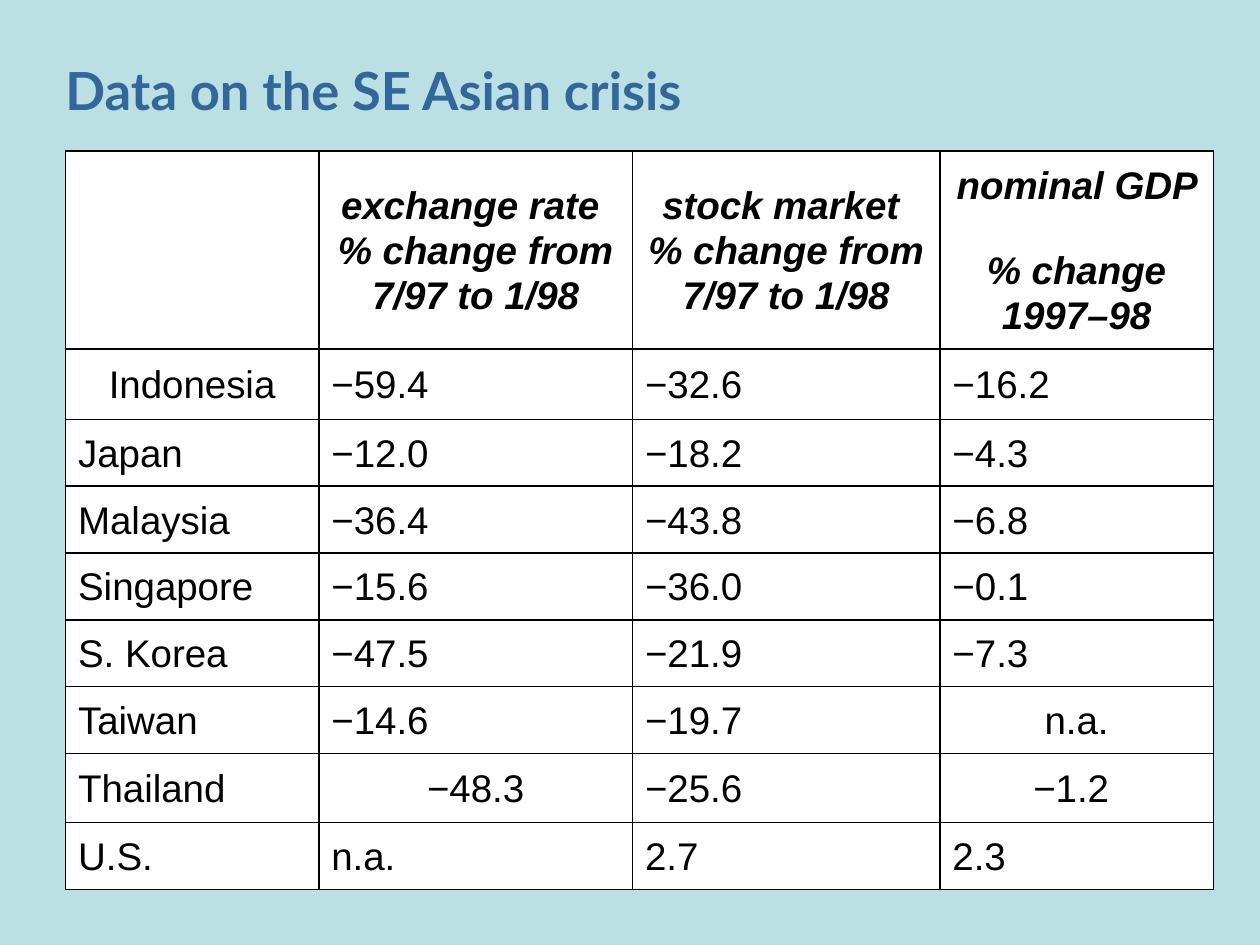
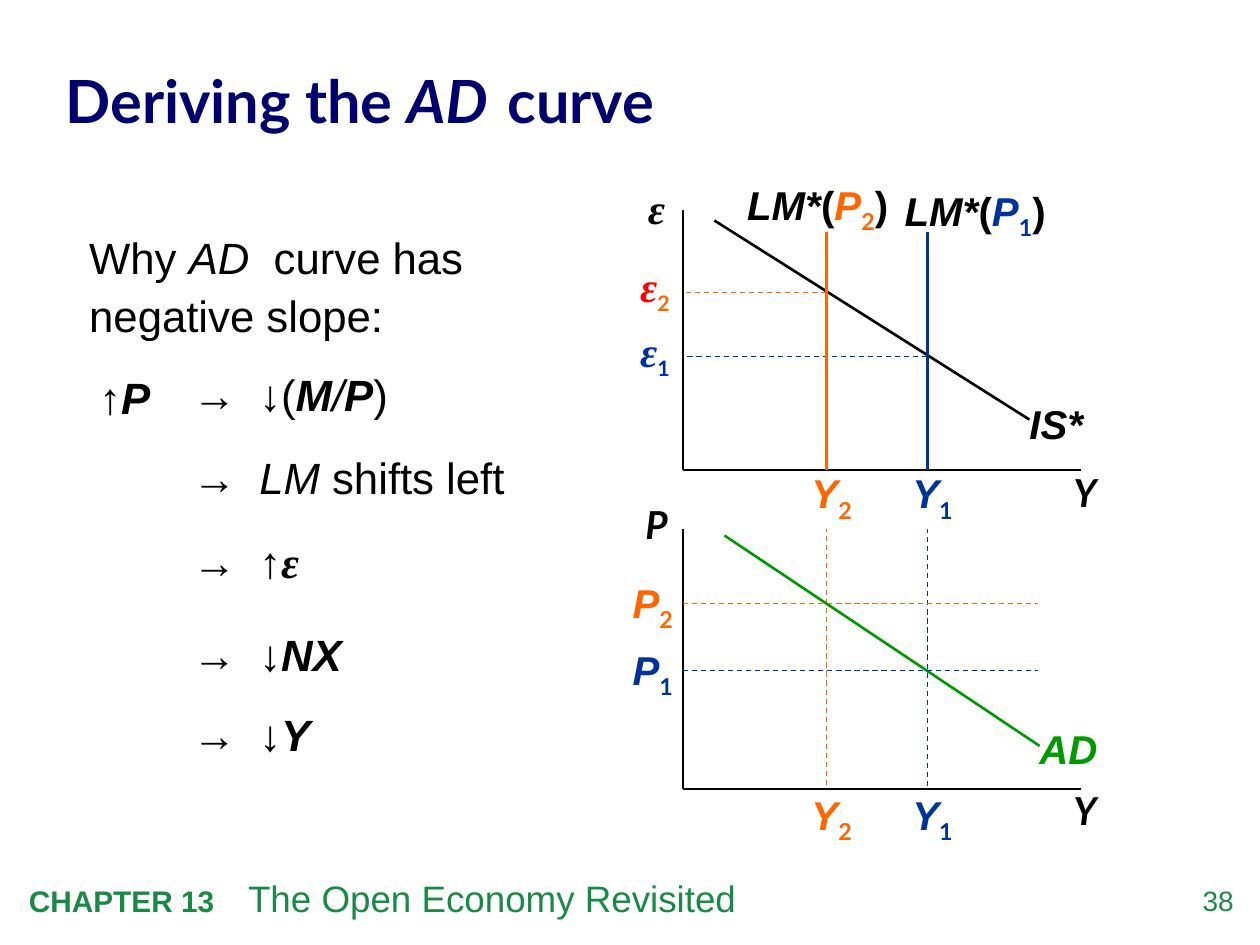
import lxml.etree
import pptx
import pptx.dml.color
import pptx.enum.dml
import pptx.enum.shapes
import pptx.enum.text
import pptx.oxml.ns
import pptx.util

Inches = pptx.util.Inches
Pt = pptx.util.Pt
rgb = pptx.dml.color.RGBColor.from_string
qn = pptx.oxml.ns.qn
ALIGN = pptx.enum.text.PP_ALIGN
MIDDLE = pptx.enum.text.MSO_ANCHOR.MIDDLE

BLACK, WHITE, GREEN, LEAF = "000000", "FFFFFF", "198A46", "009900"
BLUE, ORANGE, RED = "003399", "FF6600", "FF0000"
SANS, HEAD, SERIF = "Arial", "Lato", "Times New Roman"


def text(slide, x, y, w, h, runs, align="LEFT", pad=True, space=None,
         anchor=None, fill=None, tab=None):
    """Add a box of runs (text, size, colour, font, style); style letters: bold, italic, sub."""
    box = slide.shapes.add_textbox(Inches(x), Inches(y), Inches(w), Inches(h))
    frame = box.text_frame
    frame.word_wrap = True
    if not pad:
        frame.margin_left = frame.margin_right = 0
        frame.margin_top = frame.margin_bottom = 0
    if anchor:
        frame.vertical_anchor = anchor
    if fill:
        box.fill.solid()
        box.fill.fore_color.rgb = rgb(fill)
    para = frame.paragraphs[0]
    para.alignment = ALIGN[align]
    if space:
        para.line_spacing = space
    if tab:
        stops = lxml.etree.SubElement(para._p.get_or_add_pPr(), qn("a:tabLst"))
        lxml.etree.SubElement(stops, qn("a:tab"), pos=str(Inches(tab)), algn="l")
    for words, size, hue, face, style in runs:
        run = para.add_run()
        run.text = words
        font = run.font
        font.size, font.name = Pt(size), face
        font.color.rgb = rgb(hue)
        font.bold, font.italic = "b" in style, "i" in style
        if "s" in style:
            font._element.set("baseline", "-25000")
    return box


def line(slide, x1, y1, x2, y2, hue, width, dash=False):
    link = slide.shapes.add_connector(
        pptx.enum.shapes.MSO_CONNECTOR.STRAIGHT,
        Inches(x1), Inches(y1), Inches(x2), Inches(y2))
    link.line.color.rgb = rgb(hue)
    link.line.width = Pt(width)
    if dash:
        link.line.dash_style = pptx.enum.dml.MSO_LINE.DASH
    lxml.etree.SubElement(link._element.spPr, qn("a:effectLst"))
    return link


deck = pptx.Presentation()
deck.slide_width, deck.slide_height = Inches(10), Inches(7.5)

# Backgrounds and titles
NAVY = "00006E"
heads = [
    ("BBE0E3", 0.22, 0.95, [("Data on the SE Asian crisis", 30, "336699", HEAD, "b")]),
    (WHITE, 0.26, 1.03, [("Deriving the ", 34, NAVY, HEAD, "b"),
                         ("AD", 34, NAVY, HEAD, "bi"),
                         (" ", 13, NAVY, HEAD, "b"),
                         (" curve", 34, NAVY, HEAD, "b")]),
]
for back, top, tall, runs in heads:
    slide = deck.slides.add_slide(deck.slide_layouts[6])
    slide.background.fill.solid()
    slide.background.fill.fore_color.rgb = rgb(back)
    text(slide, 0.52, top, 9.03, tall, runs, pad=False, space=1.05, anchor=MIDDLE)
crisis, curve = deck.slides

# Slide 1: table
rows = [
    ("", "exchange rate \n% change from 7/97 to 1/98",
     "stock market \n% change from 7/97 to 1/98", "nominal GDP \n% change 1997–98"),
    ("Indonesia", "−59.4", "−32.6", "−16.2"),
    ("Japan", "−12.0", "−18.2", "−4.3"),
    ("Malaysia", "−36.4", "−43.8", "−6.8"),
    ("Singapore", "−15.6", "−36.0", "−0.1"),
    ("S. Korea", "−47.5", "−21.9", "−7.3"),
    ("Taiwan", "−14.6", "−19.7", "n.a."),
    ("Thailand", "−48.3", "−25.6", "−1.2 "),
    ("U.S.", "n.a.", "2.7", "2.3"),
]
middle = {(1, 0), (6, 3), (7, 1), (7, 3)}
table = crisis.shapes.add_table(len(rows), 4, Inches(0.52), Inches(1.2),
                                Inches(9.12), Inches(5.65)).table
for col, wide in zip(table.columns, (2.01, 2.49, 2.44, 2.17)):
    col.width = Inches(wide)
for row, tall in zip(table.rows, (1.36, 0.56, 0.53, 0.53, 0.53, 0.53, 0.53, 0.55, 0.53)):
    row.height = Inches(tall)
for r, row in enumerate(rows):
    for c, words in enumerate(row):
        cell = table.cell(r, c)
        cell.vertical_anchor = MIDDLE
        for side in ("a:lnL", "a:lnR", "a:lnT", "a:lnB"):
            edge = lxml.etree.SubElement(cell._tc.get_or_add_tcPr(), qn(side), w=str(Pt(1)))
            paint = lxml.etree.SubElement(edge, qn("a:solidFill"))
            lxml.etree.SubElement(paint, qn("a:srgbClr"), val=BLACK)
        cell.fill.solid()
        cell.fill.fore_color.rgb = rgb(WHITE)
        para = cell.text_frame.paragraphs[0]
        para.line_spacing = 1.05
        if r == 0 or (r, c) in middle:
            para.alignment = ALIGN.CENTER
        for n, part in enumerate(words.split("\n") if words else []):
            if n:
                para.add_line_break()
            run = para.add_run()
            run.text = part
            run.font.size, run.font.name = Pt(22), SANS
            run.font.color.rgb = rgb(BLACK)
            run.font.bold = run.font.italic = r == 0

# Slide 2: footer
text(curve, 9.24, 7.01, 0.55, 0.32, [("38", 16, GREEN, SANS, "")], "RIGHT", pad=False)
text(curve, 0.13, 6.9, 8.18, 0.45, [("CHAPTER 13\t", 17, GREEN, SANS, "b"),
                                    ("The Open Economy Revisited", 21, GREEN, SANS, "")],
     tab=1.74)

# Slide 2: the two states, as number, colour, income x, rate y, price y, rate colour
LEFT, RIGHT, FLOOR, BASE = 5.42, 8.58, 3.73, 6.26
states = [("1", BLUE, 7.36, 2.83, 5.32, BLUE), ("2", ORANGE, 6.56, 2.32, 4.79, RED)]

for num, hue, x, rate, price, tint in states:
    line(curve, x, rate, x, BASE, hue, 0.75, dash=True)
for num, hue, x, rate, price, tint in states:
    sub = (num, 23, hue, HEAD, "bs")
    for y, fill in ((FLOOR - 0.01, WHITE), (BASE + 0.01, None)):
        text(curve, x - 0.12, y, 0.42, 0.48, [("Y", 23, hue, SANS, "bi"), sub],
             pad=False, fill=fill)

# Axes
for top, floor, name, size, face in ((1.67, FLOOR, "ε", 24, SERIF), (4.2, BASE, "P", 22, HEAD)):
    line(curve, LEFT, top, LEFT, floor, BLACK, 1)
    line(curve, LEFT, floor, RIGHT, floor, BLACK, 1)
    text(curve, 8.42, floor - 0.06, 0.58, 0.47, [("Y", 22, BLACK, HEAD, "bi")])
    text(curve, 5, top - 0.27, 0.42, 0.5, [(name, size, BLACK, face, "bi")], "CENTER")

# Sloping curves, each joined to its name
for name, hue, x, y, drop, tall in (("IS*", BLACK, 5.67, 1.75, 1.58, 0.32),
                                    ("AD", LEAF, 5.75, 4.25, 1.67, 0.34)):
    tag = text(curve, x + 2.5, y + drop - tall / 2, 0.5, tall,
               [(name, 23, hue, SANS, "bi")], pad=False)
    slope = line(curve, x, y, x + 2.5, y + drop, hue, 1.5)
    slope.end_connect(tag, 1)

# Lines and labels of each state
for num, hue, x, rate, price, tint in states:
    sub = (num, 23, hue, HEAD, "bs")
    spot = (7.18, 1.48) if num == "1" else (5.93, 1.43)
    text(curve, *spot, 1.2, 0.38,
         [("LM*", 23, BLACK, SANS, "bi"), ("(", 23, BLACK, SANS, "b"),
          ("P", 23, hue, SANS, "bi"), sub, (")", 23, BLACK, SANS, "b")], pad=False)
    line(curve, x, FLOOR, x, 1.84, hue, 1.5)
    line(curve, LEFT, price, 8.24, price, hue, 0.75, dash=True)
    text(curve, 5.02, price - 0.2, 0.42, 0.48, [("P", 23, hue, SANS, "bi"), sub], pad=False)
    line(curve, x, rate, LEFT, rate, hue, 0.75, dash=True)
    text(curve, 5.08, rate - 0.25, 0.42, 0.4,
         [("ε", 24, tint, SERIF, "bi"), (num, 21, hue, HEAD, "bs")], pad=False)

# Chain of reasons
text(curve, 0.61, 1.74, 3.58, 1.08,
     [("Why ", 25, BLACK, SANS, ""), ("AD ", 25, BLACK, SANS, "i"),
      (" curve has negative slope:", 25, BLACK, SANS, "")], space=1.1)
text(curve, 0.69, 2.85, 0.75, 0.58,
     [("↑", 25, BLACK, SANS, ""), ("P", 25, BLACK, SANS, "bi")], space=1.1)
steps = [
    (2.83, [("↓(", SANS, ""), ("M", SANS, "bi"), ("/", SANS, "i"),
            ("P", SANS, "bi"), (")", SANS, "")]),
    (3.49, [("LM", SANS, "i"), (" shifts left", SANS, "")]),
    (4.15, [("↑", SANS, ""), ("ε", SERIF, "bi")]),
    (4.89, [("↓", SANS, ""), ("NX", SANS, "bi")]),
    (5.53, [("↓", SANS, ""), ("Y", SANS, "bi")]),
]
for y, parts in steps:
    text(curve, 1.43, y, 2.85, 0.58,
         [("→\t", 25, BLACK, SANS, "b")]
         + [(words, 25, BLACK, face, style) for words, face, style in parts],
         space=1.1, tab=0.53)

deck.save("out.pptx")
